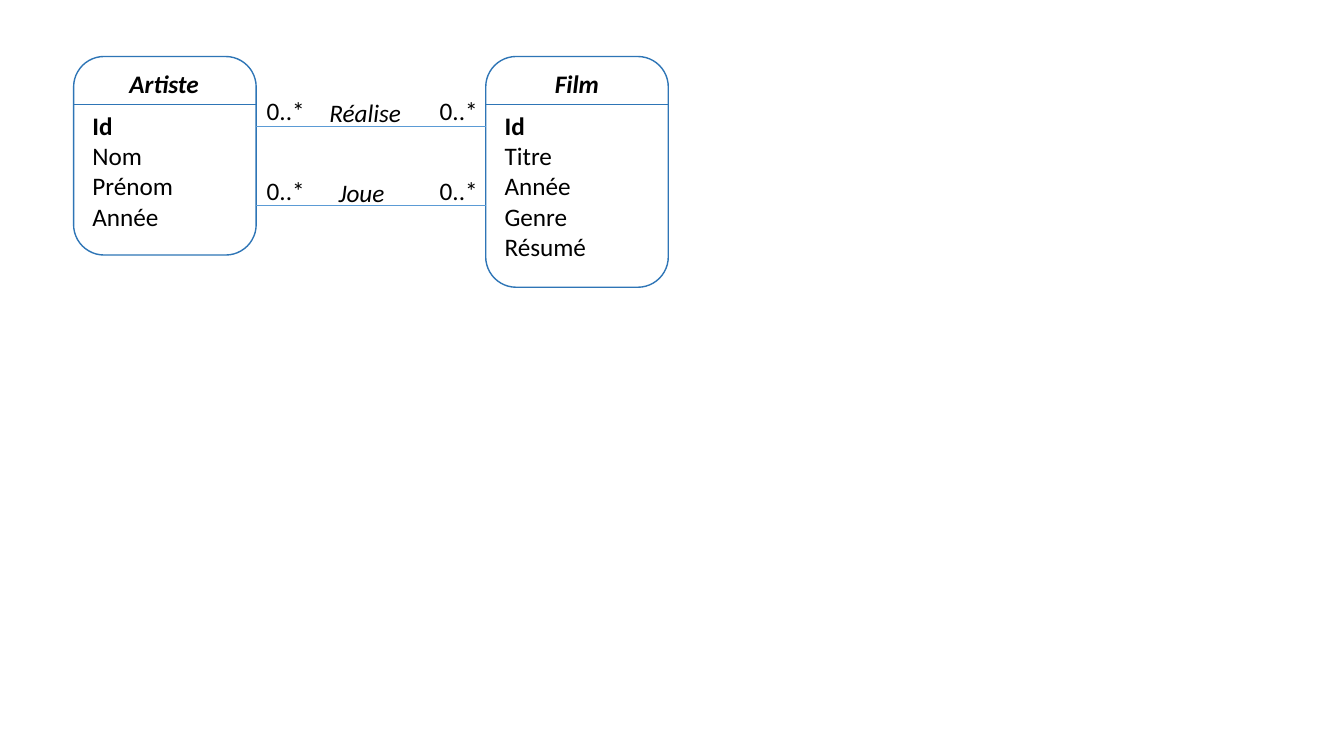
"""Draw a class diagram linking artists and films."""
from dataclasses import dataclass

from lxml import etree
from pptx import Presentation
from pptx.dml.color import RGBColor
from pptx.enum import shapes, text
from pptx.oxml import ns
from pptx.util import Pt


@dataclass(frozen=True)
class Theme:
    font: str = "Calibri"
    size: float = 18
    ink: RGBColor = RGBColor.from_string("000000")
    paper: RGBColor = RGBColor.from_string("FFFFFF")
    border: RGBColor = RGBColor.from_string("2E75B6")
    link: RGBColor = RGBColor.from_string("5B9BD5")
    border_width: float = 1
    line_width: float = 0.5


THEME = Theme()
ENTITY_TOP = 40.4
ENTITY_WIDTH = 130.4
ARTIST_LEFT = 52.6
FILM_LEFT = 347
LABEL_HEIGHT = 28.8


def style(para, bold=False, italic=False):
    font = para.font
    font.name, font.size = THEME.font, Pt(THEME.size)
    font.color.rgb = THEME.ink
    font.bold, font.italic = bold, italic


def add_label(page, wording, left, top, width, bold=False, italic=False):
    box = page.shapes.add_textbox(Pt(left), Pt(top), Pt(width), Pt(LABEL_HEIGHT))
    frame = box.text_frame
    frame.word_wrap = False
    frame.auto_size = text.MSO_AUTO_SIZE.SHAPE_TO_FIT_TEXT
    frame.text = wording
    style(frame.paragraphs[0], bold, italic)


def add_rule(page, left, right, y, color):
    rule = page.shapes.add_connector(
        shapes.MSO_CONNECTOR.STRAIGHT, Pt(left), Pt(y), Pt(right), Pt(y))
    rule.line.color.rgb = color
    rule.line.width = Pt(THEME.line_width)
    etree.SubElement(rule._element.spPr, ns.qn("a:effectLst"))


def add_entity(page, name, attributes, left, height, name_width):
    box = page.shapes.add_shape(
        shapes.MSO_SHAPE.ROUNDED_RECTANGLE,
        Pt(left), Pt(ENTITY_TOP), Pt(ENTITY_WIDTH), Pt(height))
    box.shadow.inherit = False
    box.fill.solid()
    box.fill.fore_color.rgb = THEME.paper
    box.line.color.rgb = THEME.border
    box.line.width = Pt(THEME.border_width)
    frame = box.text_frame
    frame.vertical_anchor = text.MSO_ANCHOR.TOP
    frame.margin_top = Pt(32)
    frame.text = "\n".join(attributes)
    for para in frame.paragraphs:
        para.alignment = text.PP_ALIGN.LEFT
        style(para, bold=para.text == "Id")
    name_left = left + (ENTITY_WIDTH - name_width) / 2
    add_label(page, name, name_left, ENTITY_TOP + 4.6, name_width, bold=True, italic=True)
    add_rule(page, left, left + ENTITY_WIDTH, ENTITY_TOP + 34.2, THEME.border)


def add_association(page, name, y, name_left, name_width):
    start = ARTIST_LEFT + ENTITY_WIDTH
    add_rule(page, start, FILM_LEFT, y, THEME.link)
    add_label(page, name, name_left, y - 23.8, name_width, italic=True)
    for left in (start + 0.4, FILM_LEFT - 40):
        add_label(page, "0..*", left, y - 25.4, 41.8)


def main():
    deck = Presentation()
    deck.slide_width, deck.slide_height = Pt(960), Pt(540)
    page = deck.slides.add_slide(deck.slide_layouts[6])
    add_entity(page, "Artiste", ["Id", "Nom", "Prénom", "Année"],
               ARTIST_LEFT, 141.8, 64.8)
    add_entity(page, "Film", ["Id", "Titre", "Année", "Genre", "Résumé"],
               FILM_LEFT, 164.8, 46)
    add_association(page, "Réalise", 90, 228.2, 66.2)
    add_association(page, "Joue", 146.8, 234.7, 47.6)
    deck.save("out.pptx")


if __name__ == "__main__":
    main()
